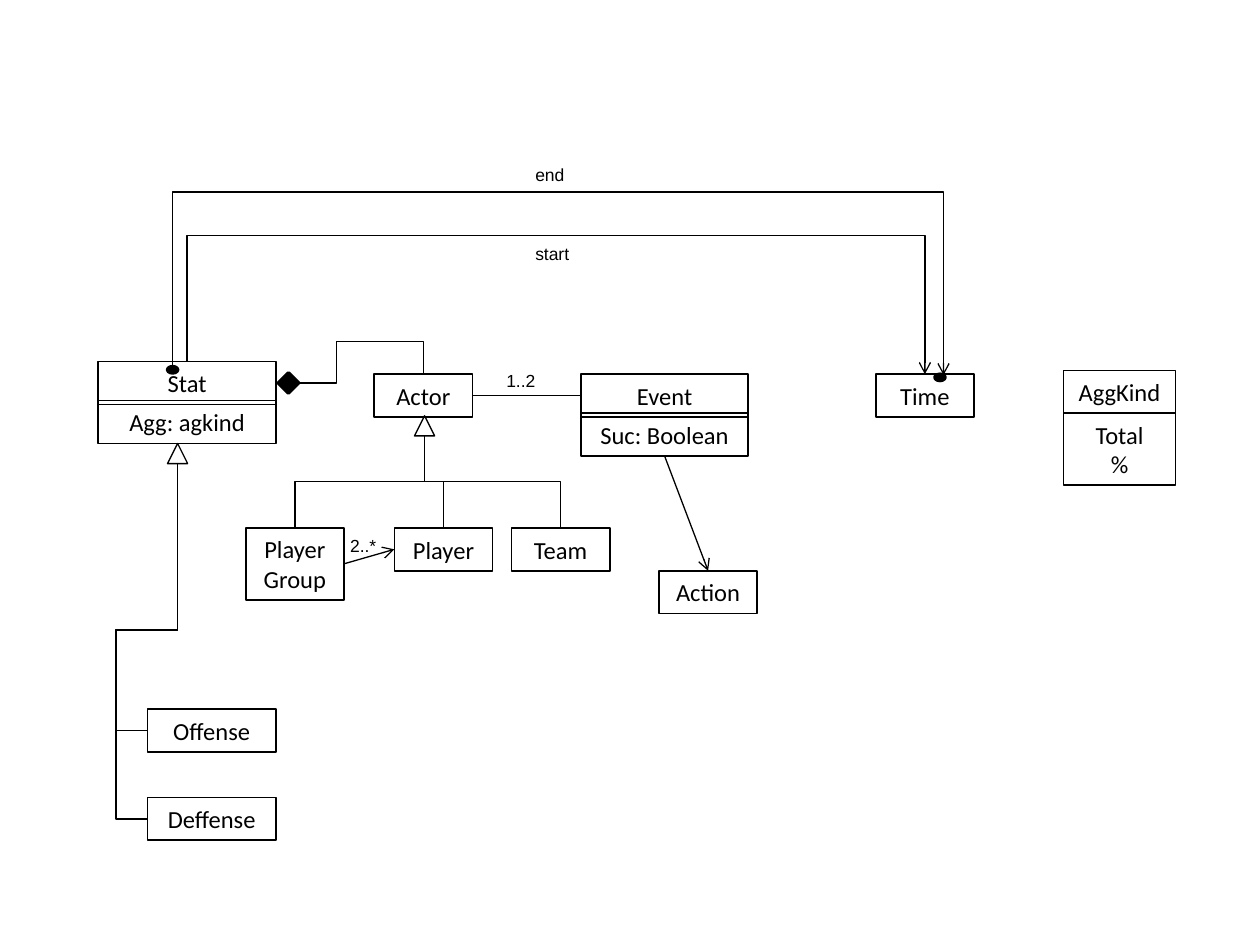
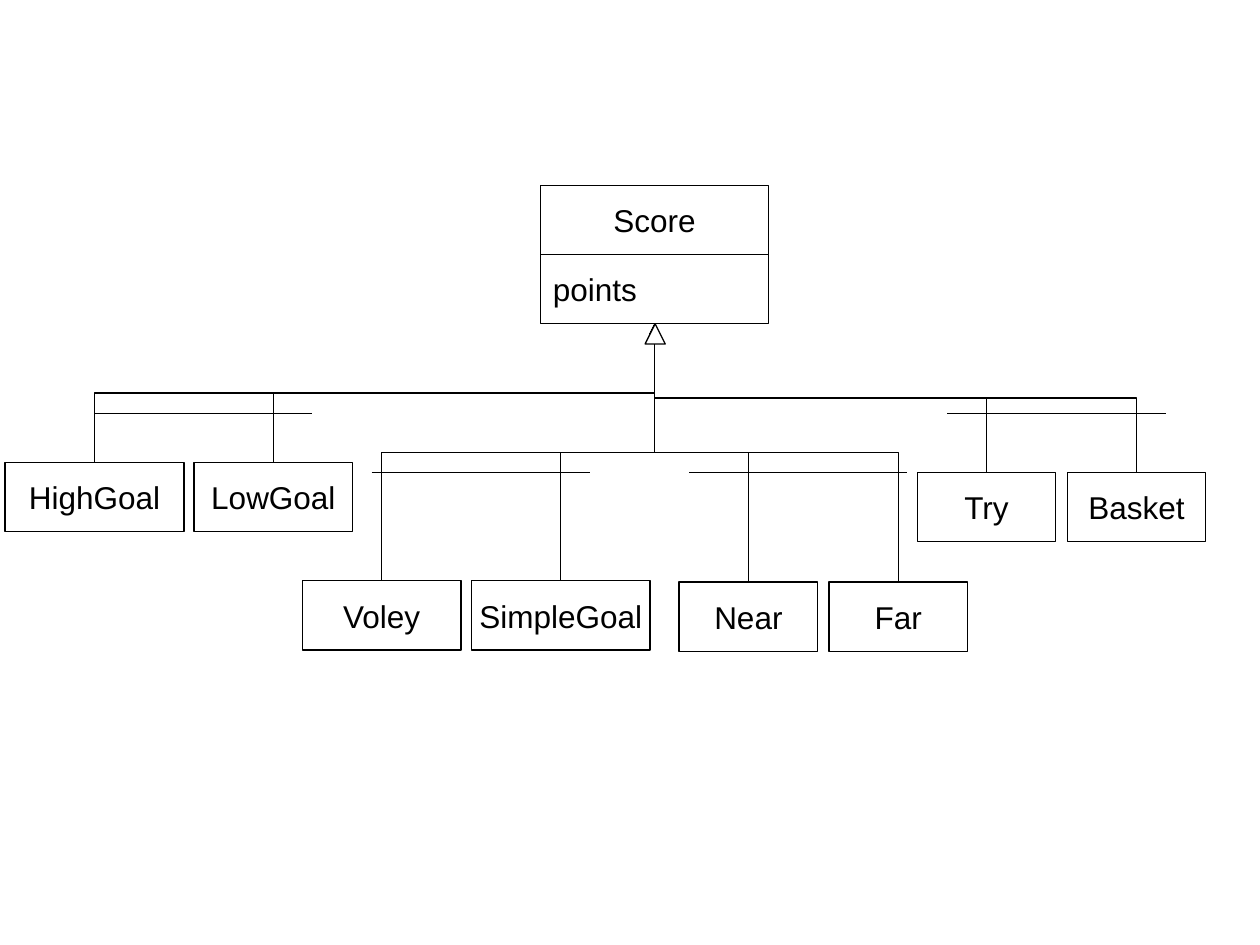
"""Build two class diagrams: match statistics and score types."""
from lxml.etree import SubElement
from pptx import Presentation
from pptx.dml.color import RGBColor
from pptx.enum.shapes import MSO_CONNECTOR as LINE, MSO_SHAPE as SHAPE, MSO_SHAPE_TYPE as KIND
from pptx.enum.text import MSO_ANCHOR as ANCHOR, PP_ALIGN as ALIGN
from pptx.oxml.ns import qn
from pptx.util import Inches, Pt

COLORS = {"ink": "000000", "paper": "FFFFFF"}
INK = RGBColor.from_string(COLORS["ink"])
PAPER = RGBColor.from_string(COLORS["paper"])

# Connection site index, then its place as fractions of width and height
TOP, LEFT, BOTTOM, RIGHT = (0, 0.5, 0), (1, 0, 0.5), (2, 0.5, 1), (3, 1, 0.5)
TRIANGLE_BASE = (3, 0.5, 1)
OVAL_TOP_RIGHT = (7, 0.85, 0.15)


def add_shape(slide, kind, left, top, width, height, text="", font="Calibri", size=14,
              line=1, fill=None, align=ALIGN.CENTER, wrap=True):
    shape = slide.shapes.add_shape(kind, Inches(left), Inches(top), Inches(width), Inches(height))
    shape.shadow.inherit = False
    if fill is None:
        shape.fill.background()
    else:
        shape.fill.solid()
        shape.fill.fore_color.rgb = fill
    shape.line.color.rgb = INK
    shape.line.width = Pt(line)
    frame = shape.text_frame
    frame.word_wrap = wrap
    frame.vertical_anchor = ANCHOR.MIDDLE
    for index, words in enumerate(text.split("\n") if text else []):
        paragraph = frame.add_paragraph() if index else frame.paragraphs[0]
        paragraph.alignment = align
        run = paragraph.add_run()
        run.text = words
        run.font.name = font
        run.font.size = Pt(size)
        run.font.color.rgb = INK
    return shape


def connect(slide, start, start_site, end, end_site, bend_y=None, bend_x=None, head=None, tail=None):
    (x1, y1), (x2, y2) = [
        (shape.left + site[1] * shape.width, shape.top + site[2] * shape.height)
        for shape, site in ((start, start_site), (end, end_site))]
    kind = LINE.STRAIGHT if bend_y is None else LINE.ELBOW
    connector = slide.shapes.add_connector(kind, int(x1), int(y1), int(x2), int(y2))
    connector.begin_connect(start, min(start_site[0], 3))
    connector.end_connect(end, end_site[0])
    element = connector._element
    element.find(".//" + qn("a:stCxn")).set("idx", str(start_site[0]))
    if bend_y is not None:
        across, down = x2 - x1, y2 - y1
        connector.width, connector.height = int(abs(down)), int(abs(across))
        connector.left = int((x1 + x2 - abs(down)) / 2)
        connector.top = int((y1 + y2 - abs(across)) / 2)
        transform = element.spPr.find(qn("a:xfrm"))
        transform.set("rot", "5400000" if (across < 0) == (down > 0) else "16200000")
        transform.set("flipH", str(int(across > 0)))
        transform.set("flipV", str(int(down < 0)))
        ratios = [(Inches(bend_y) - y1) / down]
        if bend_x is not None:
            ratios.append((Inches(bend_x) - x1) / across)
        geometry = element.spPr.find(qn("a:prstGeom"))
        geometry.set("prst", f"bentConnector{len(ratios) + 2}")
        adjustments = geometry.find(qn("a:avLst"))
        if adjustments is None:
            adjustments = SubElement(geometry, qn("a:avLst"))
        for number, ratio in enumerate(ratios, 1):
            SubElement(adjustments, qn("a:gd"), name=f"adj{number}", fmla=f"val {round(ratio * 100000)}")
    outline = connector.line._get_or_add_ln()
    for tag, arrow in (("a:headEnd", head), ("a:tailEnd", tail)):
        if arrow:
            SubElement(outline, qn(tag), type=arrow)


presentation = Presentation()
presentation.slide_width, presentation.slide_height = Inches(10), Inches(7.5)
blank = presentation.slide_layouts[6]

slide = presentation.slides.add_slide(blank)
boxes = {}
for text, left, top, width, height in (
    ("Stat", 0.78, 2.87, 1.41, 0.34),
    ("Agg: agkind", 0.78, 3.18, 1.41, 0.34),
    ("Actor", 2.97, 2.97, 0.78, 0.34),
    ("Player", 3.13, 4.19, 0.78, 0.34),
    ("Team", 4.06, 4.19, 0.78, 0.34),
    ("Event", 4.61, 2.97, 1.33, 0.34),
    ("Suc: Boolean", 4.61, 3.28, 1.33, 0.34),
    ("Time", 6.95, 2.97, 0.78, 0.34),
    ("AggKind", 8.44, 2.94, 0.89, 0.34),
    ("Total\n%", 8.44, 3.28, 0.89, 0.57),
    ("Action", 5.23, 4.53, 0.78, 0.34),
    ("Player Group", 1.95, 4.19, 0.78, 0.57),
    ("Offense", 1.17, 5.63, 1.02, 0.34),
    ("Deffense", 1.17, 6.33, 1.02, 0.34),
):
    boxes[text] = add_shape(slide, SHAPE.RECTANGLE, left, top, width, height, text)

diamond = add_shape(slide, SHAPE.DIAMOND, 2.21, 2.96, 0.16, 0.16, line=2, fill=INK)
stat_dot, time_dot = [
    add_shape(slide, SHAPE.FLOWCHART_CONNECTOR, left, top, 0.08, 0.05, line=2, fill=INK)
    for left, top in ((1.33, 2.91), (7.42, 2.97))]
actor_triangle, stat_triangle = [
    add_shape(slide, SHAPE.ISOSCELES_TRIANGLE, left, top, 0.16, 0.16, line=0.75)
    for left, top in ((3.29, 3.3), (1.33, 3.52))]

connect(slide, boxes["Actor"], TOP, diamond, RIGHT, 2.71, 2.67)
connect(slide, time_dot, OVAL_TOP_RIGHT, stat_dot, TOP, 1.52, head="arrow")
connect(slide, boxes["Time"], TOP, boxes["Stat"], TOP, 1.87, head="arrow")
for name in ("Player Group", "Player", "Team"):
    connect(slide, actor_triangle, TRIANGLE_BASE, boxes[name], TOP, 3.82)
for name in ("Deffense", "Offense"):
    connect(slide, stat_triangle, TRIANGLE_BASE, boxes[name], LEFT, 5, 0.92)
connect(slide, boxes["Player Group"], RIGHT, boxes["Player"], LEFT, tail="arrow")
connect(slide, boxes["Suc: Boolean"], BOTTOM, boxes["Action"], TOP, tail="arrow")
connect(slide, boxes["Event"], LEFT, boxes["Actor"], RIGHT)

for text, left, top, width in (
    ("2..*", 2.68, 4.2, 0.41),
    ("start", 4.15, 1.88, 0.47),
    ("end", 4.15, 1.25, 0.43),
    ("1..2", 3.92, 2.89, 0.43),
):
    label = slide.shapes.add_textbox(Inches(left), Inches(top), Inches(width), Inches(0.27))
    label.text_frame.word_wrap = False
    run = label.text_frame.paragraphs[0].add_run()
    run.text = text
    run.font.name = "Arial"
    run.font.size = Pt(10)
    run.font.color.rgb = INK

slide = presentation.slides.add_slide(blank)
score_style = {"font": "Arial", "size": 18, "line": 0.75, "wrap": False}
add_shape(slide, SHAPE.RECTANGLE, 4.29, 1.47, 1.81, 0.55, "Score", **score_style)
points = add_shape(slide, SHAPE.RECTANGLE, 4.29, 2.02, 1.81, 0.55, "points", align=ALIGN.LEFT, **score_style)
for text, left, top, width, bend_y in (
    ("HighGoal", 0.04, 3.67, 1.42, 3.12),
    ("LowGoal", 1.54, 3.67, 1.26, 3.12),
    ("Voley", 2.4, 4.61, 1.26, 3.59),
    ("SimpleGoal", 3.74, 4.61, 1.42, 3.59),
    ("Near", 5.39, 4.62, 1.1, 3.59),
    ("Far", 6.58, 4.62, 1.1, 3.59),
    ("Try", 7.28, 3.75, 1.1, 3.16),
    ("Basket", 8.47, 3.75, 1.1, 3.16),
):
    score_type = add_shape(slide, SHAPE.RECTANGLE, left, top, width, 0.55, text, **score_style)
    connect(slide, score_type, TOP, points, BOTTOM, bend_y, tail="triangle")
add_shape(slide, SHAPE.ISOSCELES_TRIANGLE, 5.12, 2.57, 0.16, 0.16, line=0.75, fill=PAPER)
for left, top in ((0.75, 3.28), (2.95, 3.75), (5.47, 3.75), (7.52, 3.28)):
    slide.shapes.add_connector(LINE.STRAIGHT, Inches(left), Inches(top), Inches(left + 1.73), Inches(top))

for slide in presentation.slides:
    for shape in slide.shapes:
        if shape.shape_type == KIND.LINE:
            shape.line.color.rgb = INK
            shape.line.width = Pt(0.75)
            SubElement(shape._element.spPr, qn("a:effectLst"))

presentation.save("out.pptx")
